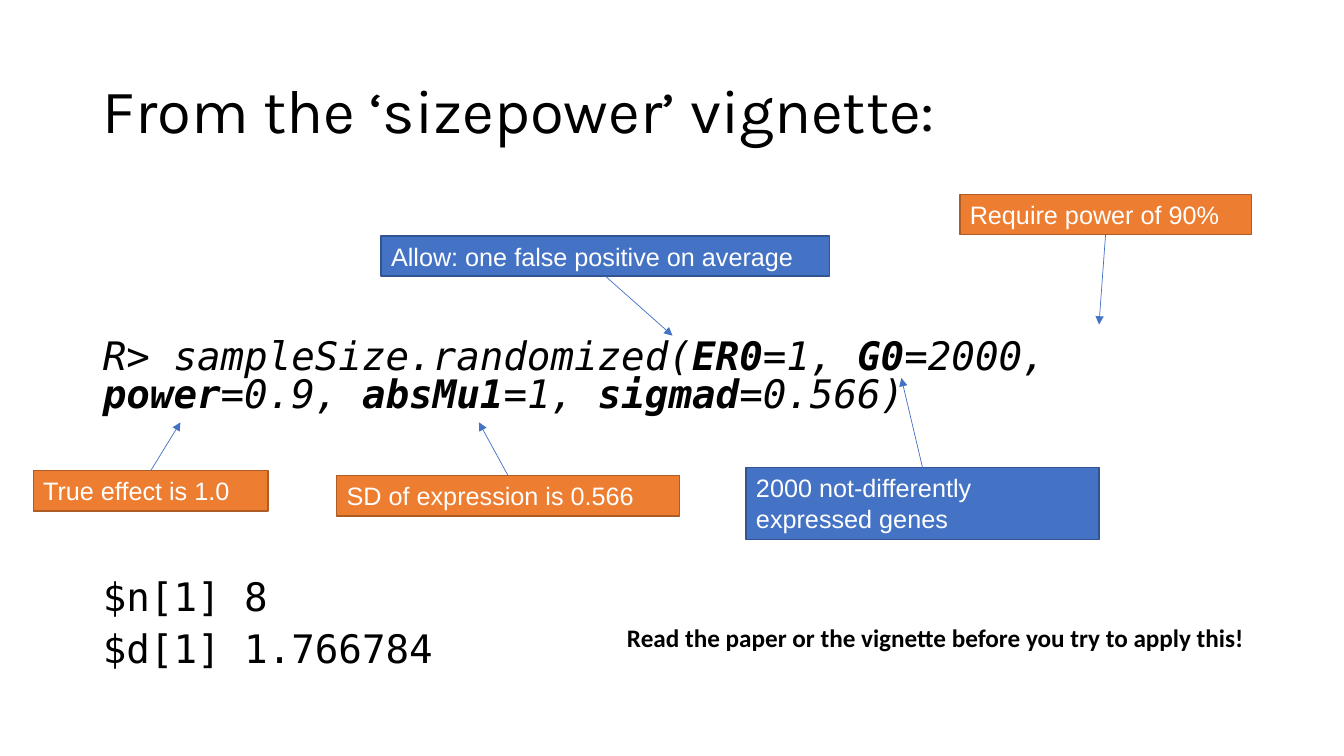
import pptx
import pptx.util
import pptx.dml.color
import pptx.enum.text
import pptx.enum.shapes
import pptx.oxml.ns
import lxml.etree

HUES = {
    "ink": "000000", "white": "FFFFFF",
    "blue": "4472C4", "navy": "325491",
    "orange": "ED7D31", "rust": "AF5C24",
}
TITLE = "From the ‘sizepower’ vignette:"
CODE = [
    ("R> sampleSize.randomized(", False),
    ("ER0", True), ("=1, ", False),
    ("G0", True), ("=2000, ", False),
    ("power", True), ("=0.9, ", False),
    ("absMu1", True), ("=1, ", False),
    ("sigmad", True), ("=0.566)", False),
]
LINES = [
    (CODE, True, 0),
    ([("$n[1] 8", False)], False, 118),
    ([("$d[1] 1.766784", False)], False, 10),
]
NOTE = "Read the paper or the vignette before you try to apply this!"
BOXES = [
    ("Allow: one false positive on average", (3.78, 2.34, 4.45, 0.4), "blue", "navy", (6.67, 3.33)),
    ("2000 not-differently expressed genes", (7.4, 4.64, 3.5, 0.71), "blue", "navy", (8.94, 3.75)),
    ("Require power of 90%", (9.52, 1.93, 2.89, 0.4), "orange", "rust", (10.9, 3.22)),
    ("True effect is 1.0", (0.33, 4.67, 2.33, 0.4), "orange", "rust", (1.79, 4.19)),
    ("SD of expression is 0.566", (3.34, 4.72, 3.4, 0.4), "orange", "rust", (4.75, 4.19)),
]

Inches = pptx.util.Inches
Pt = pptx.util.Pt
MSO = pptx.enum.text.MSO_ANCHOR
FIT = pptx.enum.text.MSO_AUTO_SIZE
LEFT = pptx.enum.text.PP_ALIGN.LEFT


def hue(name):
    return pptx.dml.color.RGBColor.from_string(HUES[name])


def place(shape, area):
    shape.left, shape.top, shape.width, shape.height = map(Inches, area)


def add_run(para, text, size, face, tint, bold=False, slant=False):
    run = para.add_run()
    run.text = text
    font = run.font
    font.size, font.name = Pt(size), face
    font.bold, font.italic = bold, slant
    font.color.rgb = hue(tint)


def add_tag(node, tag, **attrs):
    return lxml.etree.SubElement(node, pptx.oxml.ns.qn(tag), **attrs)


def add_title(slide):
    title = slide.shapes.title
    place(title, (0.92, 0.4, 11.5, 1.45))
    frame = title.text_frame
    frame.vertical_anchor = MSO.MIDDLE
    frame.auto_size = FIT.NONE
    para = frame.paragraphs[0]
    para.alignment, para.line_spacing = LEFT, 0.9
    add_run(para, TITLE, 44, "Karla", "ink")


def add_body(slide):
    body = slide.placeholders[1]
    place(body, (0.92, 3.33, 11.5, 3.53))
    frame = body.text_frame
    frame.auto_size = FIT.NONE
    for num, (parts, slant, gap) in enumerate(LINES):
        para = frame.add_paragraph() if num else frame.paragraphs[0]
        props = para._p.get_or_add_pPr()
        props.set("marL", "0")
        props.set("indent", "0")
        add_tag(props, "a:buNone")
        para.line_spacing, para.space_before = 0.8, Pt(gap)
        for text, bold in parts:
            add_run(para, text, 28, "DejaVu Sans Mono", "ink", bold, slant)


def add_box(slide, text, area, fill, edge):
    kind = pptx.enum.shapes.MSO_SHAPE.RECTANGLE
    box = slide.shapes.add_shape(kind, *map(Inches, area))
    box.shadow.inherit = False
    box.fill.solid()
    box.fill.fore_color.rgb = hue(fill)
    box.line.color.rgb = hue(edge)
    box.line.width = Pt(1)
    frame = box.text_frame
    frame.word_wrap = True
    frame.vertical_anchor = MSO.TOP
    para = frame.paragraphs[0]
    para.alignment = LEFT
    add_run(para, text, 18, "Arial", "white")


def add_arrow(slide, area, tip):
    left, top, width, height = area
    start = (left + width / 2, top if tip[1] < top else top + height)
    kind = pptx.enum.shapes.MSO_CONNECTOR.STRAIGHT
    arrow = slide.shapes.add_connector(kind, *map(Inches, start + tip))
    arrow.line.color.rgb = hue("blue")
    arrow.line.width = Pt(0.5)
    add_tag(arrow.line._get_or_add_ln(), "a:tailEnd", type="triangle")
    add_tag(arrow._element.spPr, "a:effectLst")


def add_note(slide):
    note = slide.shapes.add_textbox(*map(Inches, (6.12, 6.12, 6.38, 0.4)))
    frame = note.text_frame
    frame.word_wrap = False
    add_run(frame.paragraphs[0], NOTE, 18, "Calibri", "ink", True)


def main():
    deck = pptx.Presentation()
    deck.slide_width, deck.slide_height = Inches(13.33), Inches(7.5)
    slide = deck.slides.add_slide(deck.slide_layouts[1])
    add_title(slide)
    add_body(slide)
    for text, area, fill, edge, tip in BOXES:
        add_box(slide, text, area, fill, edge)
        add_arrow(slide, area, tip)
    add_note(slide)
    deck.save("out.pptx")


if __name__ == "__main__":
    main()
